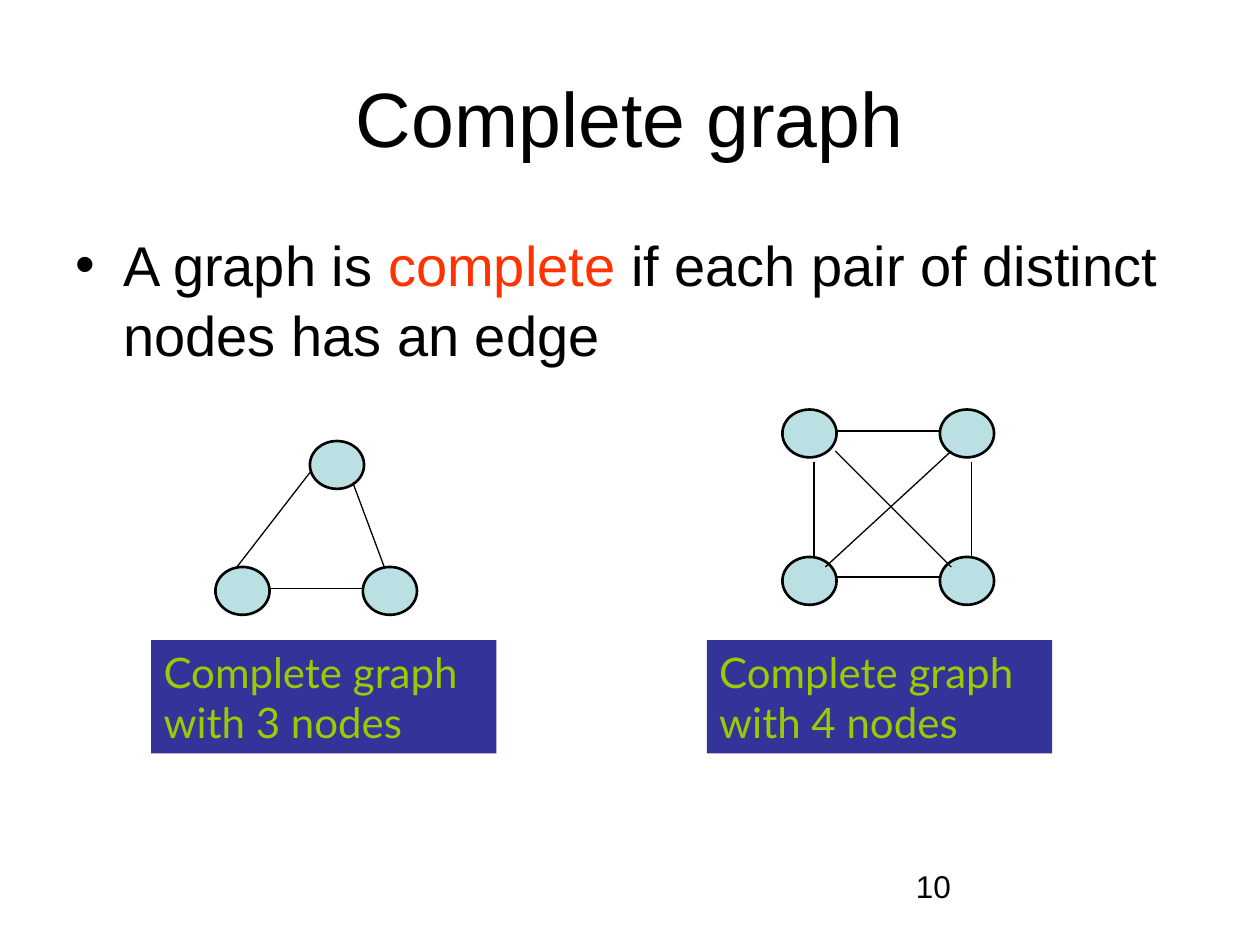
from typing import NamedTuple

from lxml.etree import SubElement
from pptx import Presentation
from pptx.dml.color import RGBColor
from pptx.enum.shapes import MSO_CONNECTOR as Connector, MSO_SHAPE as Shape
from pptx.enum.text import MSO_ANCHOR as Anchor, PP_ALIGN as Align
from pptx.oxml.ns import qn
from pptx.util import Inches, Pt

COLORS = {
    "text": "000000",
    "accent": "FF3300",
    "node": "BBE0E3",
    "caption_fill": "333399",
    "caption_text": "99CC00",
}
NODE_WIDTH, NODE_HEIGHT = 0.43, 0.38


class Point(NamedTuple):
    x: float
    y: float


class Edge(NamedTuple):
    start: Point
    end: Point


class Graph(NamedTuple):
    nodes: list[Point]  # top-left corner of each node
    edges: list[Edge]
    caption_left: float


def color(name: str) -> RGBColor:
    return RGBColor.from_string(COLORS[name])


def add_run(paragraph, text: str, size: int, font: str = "Arial", fill: str = "text") -> None:
    run = paragraph.add_run()
    run.text = text
    for attribute, value in {"name": font, "size": Pt(size)}.items():
        setattr(run.font, attribute, value)
    run.font.color.rgb = color(fill)


def add_text_frame(slide, left: float, top: float, width: float, height: float):
    box = slide.shapes.add_textbox(*map(Inches, (left, top, width, height)))
    box.text_frame.word_wrap = True
    return box.text_frame


def add_bullet(paragraph, indent: float) -> None:
    properties = paragraph._p.get_or_add_pPr()
    properties.set("marL", str(Inches(indent)))
    properties.set("indent", str(-Inches(indent)))
    SubElement(properties, qn("a:buFont"), typeface="Arial")
    SubElement(properties, qn("a:buChar"), char="•")


def draw_node(slide, corner: Point) -> None:
    node = slide.shapes.add_shape(
        Shape.OVAL, *map(Inches, (*corner, NODE_WIDTH, NODE_HEIGHT)))
    node.shadow.inherit = False
    node.fill.solid()
    node.fill.fore_color.rgb = color("node")
    node.line.color.rgb = color("text")
    node.line.width = Pt(1.5)


def draw_edge(slide, edge: Edge) -> None:
    line = slide.shapes.add_connector(
        Connector.STRAIGHT, *map(Inches, (*edge.start, *edge.end)))
    line.line.color.rgb = color("text")
    line.line.width = Pt(0.75)
    SubElement(line._element.spPr, qn("a:effectLst"))


def draw_caption(slide, left: float, node_count: int) -> None:
    caption = slide.shapes.add_shape(
        Shape.RECTANGLE, *map(Inches, (left, 5.08, 2.74, 0.9)))
    caption.shadow.inherit = False
    caption.fill.solid()
    caption.fill.fore_color.rgb = color("caption_fill")
    caption.line.fill.background()
    frame = caption.text_frame
    frame.word_wrap = True
    frame.vertical_anchor = Anchor.TOP
    lines = ("Complete graph", f"with {node_count} nodes")
    for paragraph, text in zip((frame.paragraphs[0], frame.add_paragraph()), lines):
        paragraph.alignment = Align.LEFT
        add_run(paragraph, text, 24, "Lato", "caption_text")


def draw_graph(slide, graph: Graph) -> None:
    for corner in graph.nodes:
        draw_node(slide, corner)
    for edge in graph.edges:
        draw_edge(slide, edge)
    draw_caption(slide, graph.caption_left, len(graph.nodes))


TRIANGLE = Graph(
    nodes=[Point(2.46, 3.5), Point(2.88, 4.5), Point(1.71, 4.5)],
    edges=[
        Edge(Point(2.13, 4.67), Point(2.88, 4.67)),
        Edge(Point(1.88, 4.5), Point(2.46, 3.75)),
        Edge(Point(3.05, 4.5), Point(2.8, 3.83)),
    ],
    caption_left=1.2,
)
SQUARE = Graph(
    nodes=[Point(x, y) for x in (6.21, 7.46) for y in (3.25, 4.42)],
    edges=[
        *(Edge(Point(x, 3.67), Point(x, 4.42)) for x in (6.46, 7.71)),
        *(Edge(Point(6.63, y), Point(7.46, y)) for y in (3.42, 4.58)),
        Edge(Point(6.63, 3.58), Point(7.55, 4.5)),
        Edge(Point(6.55, 4.5), Point(7.55, 3.58)),
    ],
    caption_left=5.61,
)


def main() -> None:
    deck = Presentation()
    deck.slide_width, deck.slide_height = Inches(10), Inches(7.5)
    slide = deck.slides.add_slide(deck.slide_layouts[6])

    page_number = add_text_frame(slide, 7.17, 6.83, 2.33, 0.52)
    add_run(page_number.paragraphs[0], "10", 18)

    title = add_text_frame(slide, 0.5, 0.3, 9, 1.25)
    title.vertical_anchor = Anchor.MIDDLE
    title.paragraphs[0].alignment = Align.CENTER
    add_run(title.paragraphs[0], "Complete graph", 44)

    definition = add_text_frame(slide, 0.5, 1.75, 9, 4.95).paragraphs[0]
    add_bullet(definition, 0.38)
    definition.line_spacing = 1.05
    for text, fill in (
        ("A graph is ", "text"),
        ("complete", "accent"),
        (" if each pair of distinct nodes has an edge", "text"),
    ):
        add_run(definition, text, 32, fill=fill)

    for graph in (TRIANGLE, SQUARE):
        draw_graph(slide, graph)
    deck.save("out.pptx")


if __name__ == "__main__":
    main()
